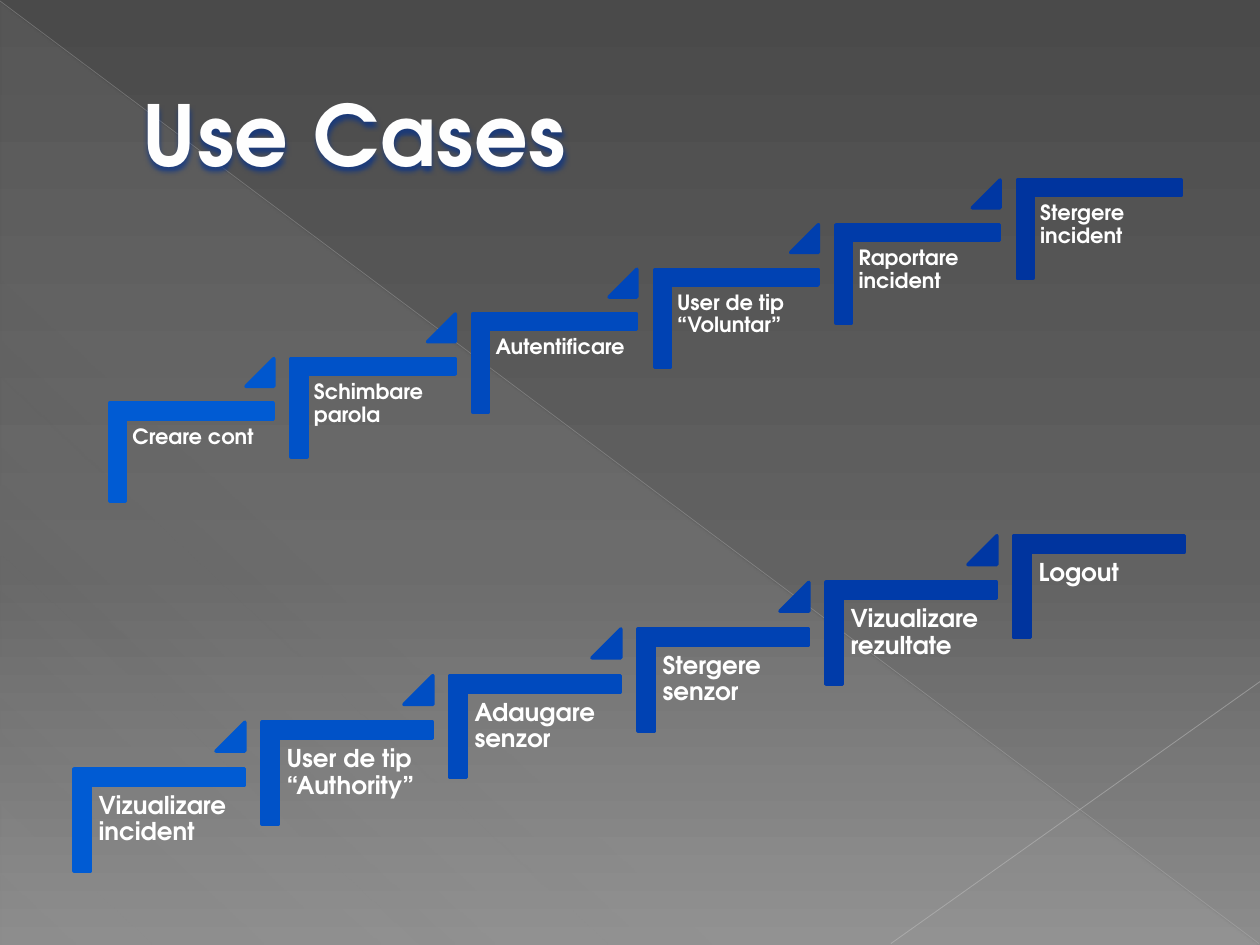
from dataclasses import dataclass

from lxml import etree
from pptx import Presentation
from pptx.dml.color import RGBColor
from pptx.enum.shapes import MSO_CONNECTOR, MSO_SHAPE
from pptx.enum.text import MSO_ANCHOR, PP_ALIGN
from pptx.oxml.ns import qn
from pptx.util import Cm, Pt

CORNER = MSO_SHAPE.CORNER
TRIANGLE = MSO_SHAPE.ISOSCELES_TRIANGLE
RIGHT_TRIANGLE = MSO_SHAPE.RIGHT_TRIANGLE
STRAIGHT = MSO_CONNECTOR.STRAIGHT
MIDDLE = MSO_ANCHOR.MIDDLE
TOP = MSO_ANCHOR.TOP
LEFT = PP_ALIGN.LEFT


@dataclass(frozen=True)
class Theme:
    font: str = "TeX Gyre Adventor"
    title_size: int = 48
    title_color: str = "FEFEFE"
    title_edge: str = "002F8F"
    label_color: str = "FFFFFF"
    background: tuple = ((0, "4A4A4A", 100), (60, "626262", 100), (100, "8C8C8C", 100))
    sheen: tuple = ((0, "D2D2D2", 10), (70, "D2D2D2", 8), (100, "D2D2D2", 1))
    stairs: tuple = ("005BD3", "0057CE", "0052C8", "004EC3", "004ABE", "0046B9",
                     "0042B3", "003FAE", "003BA9", "0037A3", "00349E")


@dataclass(frozen=True)
class Staircase:
    left: float
    top: float
    run: float
    rise: float
    scale: float
    inset: float
    label_size: int
    labels: tuple


STAIRCASES = (
    Staircase(2.87, 7.47, 3.66, 0.9, 1, 0.13, 12,
              ("Creare cont", "Schimbare parola", "Autentificare",
               "User de tip “Voluntar”", "Raportare incident", "Stergere incident")),
    Staircase(2.18, 14.81, 3.79, 0.94, 1.04, 0.15, 14,
              ("Vizualizare incident", "User de tip “Authority”", "Adaugare senzor",
               "Stergere senzor", "Vizualizare rezultate", "Logout")),
)


class SlideBuilder:
    def __init__(self, slide, theme):
        self.slide = slide
        self.theme = theme

    def color_element(self, parent, color, opacity):
        element = etree.SubElement(parent, qn("a:srgbClr"), val=color)
        etree.SubElement(element, qn("a:alpha"), val=str(opacity * 1000))

    def gradient(self, fill, owner, stops, angle):
        fill.gradient()
        fill.gradient_angle = 360 - angle
        stop_list = owner.find(".//" + qn("a:gsLst"))
        for stop in list(stop_list):
            stop_list.remove(stop)
        for position, color, opacity in stops:
            stop = etree.SubElement(stop_list, qn("a:gs"), pos=str(position * 1000))
            self.color_element(stop, color, opacity)

    def background(self):
        self.gradient(self.slide.background.fill, self.slide.element,
                      self.theme.background, 90)

    def sheen(self, left, top, width, height):
        shape = self.slide.shapes.add_shape(
            RIGHT_TRIANGLE, Cm(left), Cm(top), Cm(width), Cm(height))
        shape.shadow.inherit = False
        shape.line.fill.background()
        self.gradient(shape.fill, shape.element.spPr, self.theme.sheen, 133)

    def line(self, start, end, color, width, opacity):
        connector = self.slide.shapes.add_connector(
            STRAIGHT, *(Cm(value) for value in start + end))
        connector.line.width = Pt(width)
        connector.line.color.rgb = RGBColor.from_string(color)
        properties = connector.element.spPr
        color_node = properties.find(".//" + qn("a:srgbClr"))
        etree.SubElement(color_node, qn("a:alpha"), val=str(opacity * 1000))
        etree.SubElement(properties, qn("a:effectLst"))

    def format_run(self, run, size, color):
        run.font.name = self.theme.font
        run.font.size = Pt(size)
        run.font.bold = True
        run.font.color.rgb = RGBColor.from_string(color)

    def title(self, text, left, top, width, height, indent):
        title = self.slide.shapes.title
        title.left, title.top = Cm(left), Cm(top)
        title.width, title.height = Cm(width), Cm(height)
        title.text_frame.text = text
        title.text_frame.vertical_anchor = MIDDLE
        paragraph = title.text_frame.paragraphs[0]
        paragraph.alignment = LEFT
        paragraph_properties = paragraph._p.get_or_add_pPr()
        paragraph_properties.set("marL", str(Cm(indent)))
        paragraph_properties.set("indent", "0")
        run = paragraph.runs[0]
        self.format_run(run, self.theme.title_size, self.theme.title_color)
        run_properties = run._r.get_or_add_rPr()
        run_properties.set("spc", "50")
        outline = etree.Element(qn("a:ln"), w=str(Pt(1)))
        outline_fill = etree.SubElement(outline, qn("a:solidFill"))
        self.color_element(outline_fill, self.theme.title_edge, 100)
        run_properties.insert(0, outline)
        effects = etree.SubElement(title.element.spPr, qn("a:effectLst"))
        shadow = etree.SubElement(effects, qn("a:outerShdw"), blurRad=str(Pt(3)),
                                  dist=str(Pt(2)), dir="5400000")
        self.color_element(shadow, self.theme.title_edge, 65)
        self.slide.shapes.element.append(title.element)

    def block(self, group, kind, left, top, width, height, color, adjustments):
        shape = group.shapes.add_shape(kind, Cm(left), Cm(top), Cm(width), Cm(height))
        shape.shadow.inherit = False
        for index, value in enumerate(adjustments):
            shape.adjustments[index] = value
        shape.fill.solid()
        shape.fill.fore_color.rgb = RGBColor.from_string(color)
        shape.line.color.rgb = RGBColor.from_string(color)
        shape.line.width = Pt(2)
        return shape

    def label(self, group, text, left, top, width, height, inset, size):
        box = group.shapes.add_textbox(Cm(left), Cm(top), Cm(width), Cm(height))
        frame = box.text_frame
        frame.word_wrap = True
        frame.vertical_anchor = TOP
        frame.margin_left = frame.margin_right = Cm(inset)
        frame.margin_top = frame.margin_bottom = Cm(inset)
        frame.text = text
        paragraph = frame.paragraphs[0]
        paragraph.alignment = LEFT
        paragraph.line_spacing = 0.9
        self.format_run(paragraph.runs[0], size, self.theme.label_color)

    def staircase(self, stairs):
        group = self.slide.shapes.add_group_shape()
        colors = self.theme.stairs
        scale = stairs.scale
        for index, text in enumerate(stairs.labels):
            left = stairs.left + index * stairs.run
            top = stairs.top - index * stairs.rise
            corner = self.block(group, CORNER, left, top, 1.98 * scale, 3.3 * scale,
                                colors[2 * index], (0.16, 0.16))
            corner.rotation = 90
            self.label(group, text, left - 0.33 * scale, top + 0.99 * scale,
                       3 * scale, 2.62 * scale, stairs.inset, stairs.label_size)
            if index < len(stairs.labels) - 1:
                self.block(group, TRIANGLE, left + 2.09 * scale, top - 0.24 * scale,
                           0.56 * scale, 0.56 * scale, colors[2 * index + 1], (1,))


def main():
    presentation = Presentation()
    presentation.slide_width = Cm(25.4)
    presentation.slide_height = Cm(19.05)
    slide = presentation.slides.add_slide(presentation.slide_layouts[5])
    builder = SlideBuilder(slide, Theme())
    builder.background()
    builder.sheen(0.02, 0.05, 25.35, 19)
    builder.line((0, 0.02), (25.38, 19.02), "BFBFBF", 0.39, 35)
    builder.line((25.4, 13.74), (17.96, 19.02), "C6C6C6", 0.47, 45)
    builder.title("Use Cases", 1.27, 0.74, 22.86, 3.89, 1.35)
    for stairs in STAIRCASES:
        builder.staircase(stairs)
    presentation.save("out.pptx")


if __name__ == "__main__":
    main()
